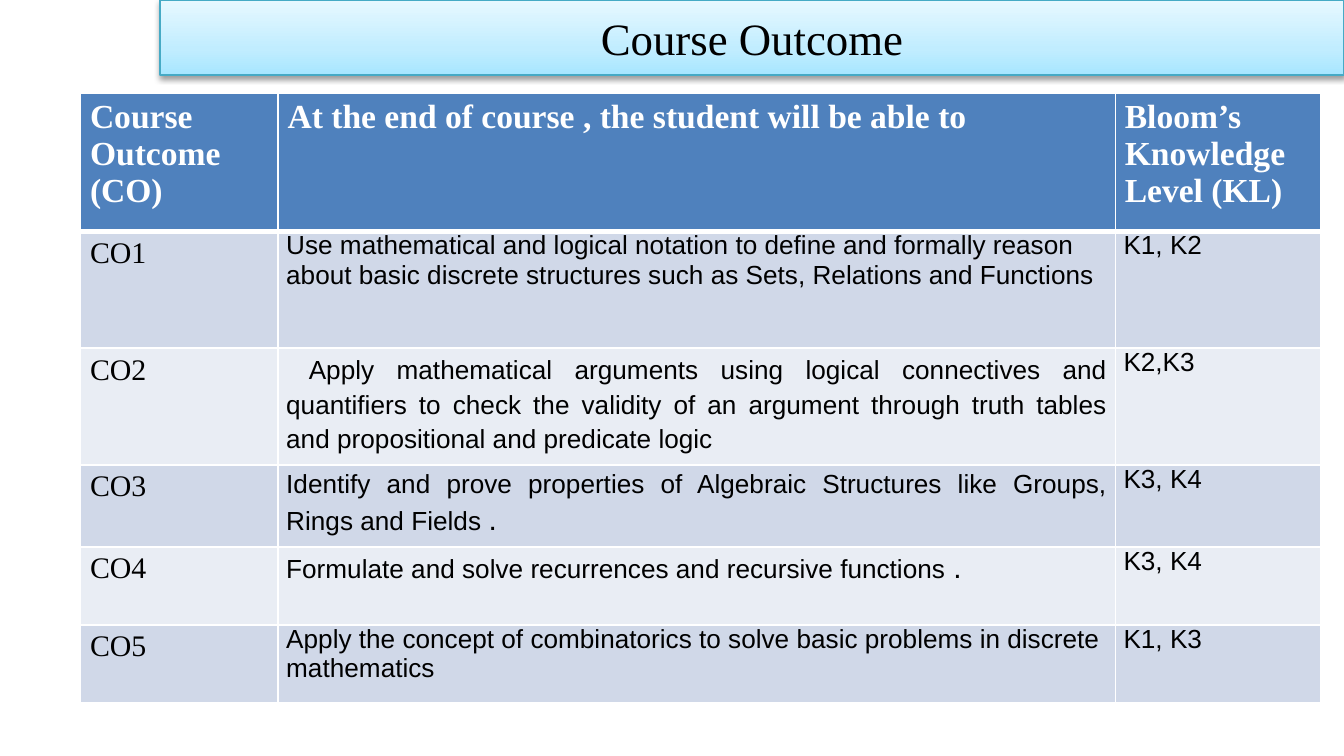
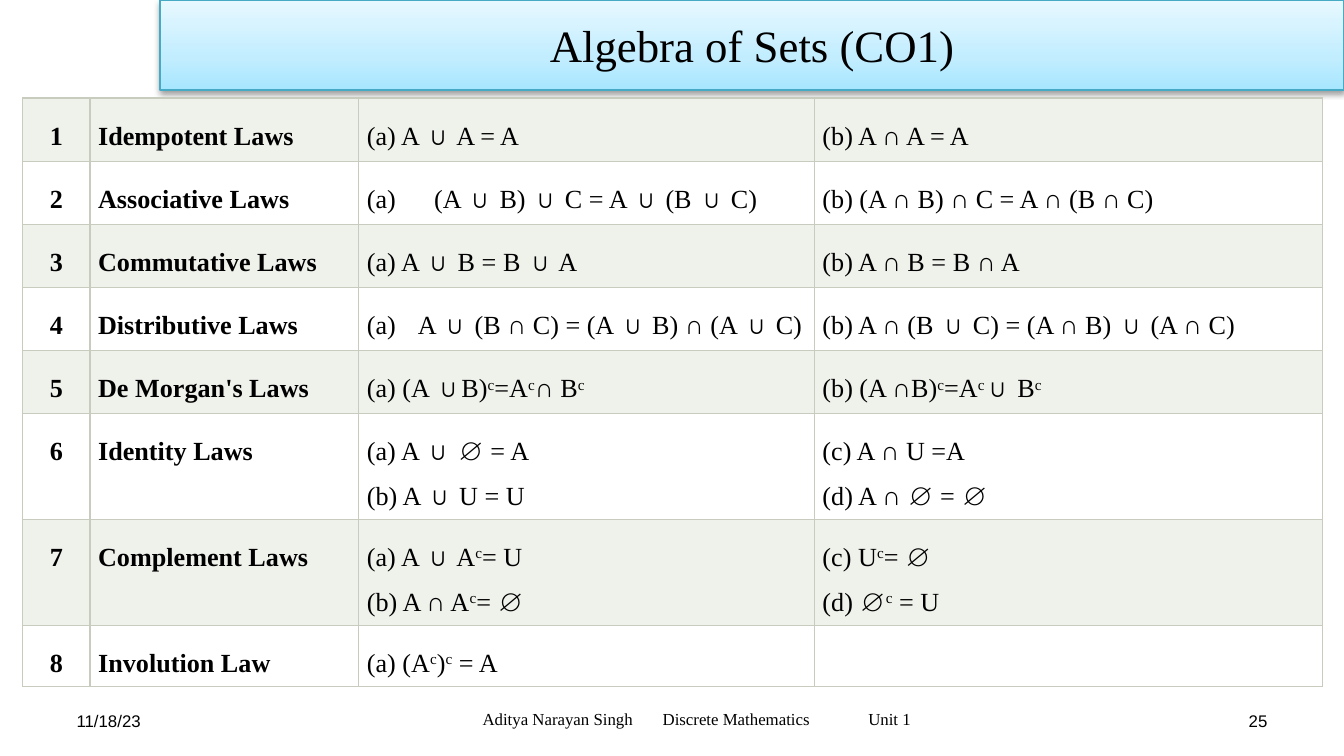
from pptx import Presentation
from pptx.util import Inches, Pt
from pptx.dml.color import RGBColor as RGB
from pptx.enum.text import PP_ALIGN as AL, MSO_ANCHOR as ANC
from pptx.oxml import parse_xml as xml
from pptx.oxml.ns import nsdecls

NS = nsdecls("a")
SERIF, SANS = "Times New Roman", "Arial"
HUE = {
    "ink": "000000", "white": "FFFFFF", "teal": "46AAC5", "red": "FF0000",
    "deep": "A7E6FF", "mid": "C1EDFF", "pale": "E7F8FF",
    "head": "4F81BD", "blue": "D0D8E8", "ice": "E9EDF4",
    "sage": "EFF1EB", "rule": "C7CCBE",
}


def put(par, text, size, font=SERIF, bold=False, hue="ink"):
    """Add text to a paragraph; parts between ^ marks are raised."""
    for row, line in enumerate(text.split("\n")):
        if row:
            par.add_line_break()
        for num, part in enumerate(line.split("^")):
            if not part:
                continue
            run = par.add_run()
            run.text = part
            run.font.size, run.font.name, run.font.bold = Pt(size), font, bold
            run.font.color.rgb = RGB.from_string(HUE[hue])
            if num % 2:
                run.font._element.set("baseline", "30000")


def inset(box, side, top):
    """Set equal side margins and equal top and bottom margins."""
    box.margin_left = box.margin_right = Inches(side)
    box.margin_top = box.margin_bottom = Inches(top)


# A 16:9 page
prs = Presentation()
prs.slide_width, prs.slide_height = Inches(10), Inches(10 * 9 / 16)

# Title, title height, table left and top, columns, rows, fills, border
PAGES = [
    ("Course Outcome", 0.56, 0.6, 0.69, [1.47, 6.23, 1.53],
     [1.03, 0.87, 0.87, 0.61, 0.58, 0.58], ["ice", "blue"], "white", 1),
    ("Algebra of Sets (CO1)", 0.67, 0.17, 0.73, [0.5, 2, 3.39, 3.78],
     [0.47] * 5 + [0.78] * 2 + [0.45], ["sage", "white"], "rule", 0.75),
]

# Title bands and bare tables
grids = []
for name, high, left, top, cols, rows, fills, rule, wide in PAGES:
    slide = prs.slides.add_slide(prs.slide_layouts[5])
    band = slide.shapes.title
    band.left, band.top = Inches(1.19), Inches(0)
    band.width, band.height = Inches(8.81), Inches(high)
    stops = "".join(
        f'<a:gs pos="{pos}000"><a:srgbClr val="{HUE[key]}"/></a:gs>'
        for pos, key in [(0, "deep"), (35, "mid"), (100, "pale")])
    props = band._element.spPr
    props.append(xml(f'<a:prstGeom {NS} prst="rect"><a:avLst/></a:prstGeom>'))
    props.append(xml(f'<a:gradFill {NS} rotWithShape="1"><a:gsLst>{stops}</a:gsLst>'
                     '<a:lin ang="16200000" scaled="1"/></a:gradFill>'))
    band.line.color.rgb = RGB.from_string(HUE["teal"])
    band.line.width = Pt(0.75)
    props.append(xml(
        f'<a:effectLst {NS}><a:outerShdw blurRad="{Pt(3.1)}" dist="{Pt(1.6)}" '
        f'dir="5400000" rotWithShape="0"><a:srgbClr val="{HUE["ink"]}">'
        '<a:alpha val="38000"/></a:srgbClr></a:outerShdw></a:effectLst>'))
    frame = band.text_frame
    frame.vertical_anchor = ANC.MIDDLE
    inset(frame, 0.07, 0.04)
    frame.paragraphs[0].alignment = AL.CENTER
    put(frame.paragraphs[0], name, 24)

    grid = slide.shapes.add_table(
        len(rows), len(cols), Inches(left), Inches(top),
        Inches(sum(cols)), Inches(sum(rows))).table
    grid.first_row = grid.horz_banding = False
    for col, size in zip(grid.columns, cols):
        col.width = Inches(size)
    for num, size in enumerate(rows):
        grid.rows[num].height = Inches(size)
        for cell in grid.rows[num].cells:
            cell.fill.solid()
            cell.fill.fore_color.rgb = RGB.from_string(HUE[fills[num % 2]])
            for spot, side in enumerate("LRTB"):
                # A thick rule parts the blue header from the body
                thick = rule == "white" and (num, side) in [(0, "B"), (1, "T")]
                cell._tc.tcPr.insert(spot, xml(
                    f'<a:ln{side} {NS} w="{Pt(3 if thick else wide)}"><a:solidFill>'
                    f'<a:srgbClr val="{HUE[rule]}"/></a:solidFill></a:ln{side}>'))
    grids.append(grid)

# Course outcomes: header
goals, laws = grids
HEADS = ["Course Outcome (CO)", "At the end of course , the student will be able to",
         "Bloom’s Knowledge Level (KL)"]
for cell, text in zip(goals.rows[0].cells, HEADS):
    cell.fill.fore_color.rgb = RGB.from_string(HUE["head"])
    inset(cell, 0.07, 0.04)
    put(cell.text_frame.paragraphs[0], text, 18, bold=True, hue="white")

# Course outcomes: body
GOALS = [
    ("Use mathematical and logical notation to define and formally reason about "
     "basic discrete structures such as Sets, Relations and Functions", "K1, K2"),
    ("Apply mathematical arguments using logical connectives and quantifiers to "
     "check the validity of an argument through truth tables and propositional "
     "and predicate logic ", "K2,K3"),
    ("Identify and prove properties of Algebraic Structures like Groups, Rings "
     "and Fields .", "K3, K4"),
    ("Formulate and solve recurrences and recursive functions .", "K3, K4"),
    ("Apply the concept of combinatorics to solve basic problems in discrete "
     "mathematics", "K1, K3"),
]
for num, (goal, level) in enumerate(GOALS, 1):
    code, body, rank = goals.rows[num].cells
    inset(code, 0.07, 0.04)
    inset(body, 0.06, 0)
    inset(rank, 0.06, 0)
    put(code.text_frame.paragraphs[0], f"CO{num}", 16)
    put(rank.text_frame.paragraphs[0], level, 14, SANS)
    par = body.text_frame.paragraphs[0]
    if num in (2, 3, 4):
        par.alignment, par.line_spacing = AL.JUSTIFY, 1.15
    if num == 2:
        put(par, " ", 16, hue="red")
    put(par, goal.rstrip("."), 14, SANS)
    if goal.endswith("."):
        put(par, ".", 16, SANS)

# Laws of sets
LAWS = [
    ("Idempotent Laws", "(a) A ∪ A = A", "(b) A ∩ A = A"),
    ("Associative Laws", "(A ∪ B) ∪ C = A ∪ (B ∪ C)",
     "(b) (A ∩ B) ∩ C = A ∩ (B ∩ C)"),
    ("Commutative Laws", "(a) A ∪ B = B ∪ A", "(b) A ∩ B = B ∩ A"),
    ("Distributive Laws", "A ∪ (B ∩ C) = (A ∪ B) ∩ (A ∪ C)",
     "(b) A ∩ (B ∪ C) = (A ∩ B) ∪ (A ∩ C)"),
    ("De Morgan's Laws", "(a) (A ∪B)^c^=A^c^∩ B^c", "(b) (A ∩B)^c^=A^c^∪ B^c"),
    ("Identity Laws", "(a) A ∪ ∅ = A\n(b) A ∪ U = U", "(c) A ∩ U =A\n(d) A ∩ ∅ = ∅"),
    ("Complement Laws", "(a) A ∪ A^c^= U\n(b) A ∩ A^c^= ∅", "(c) U^c^= ∅\n(d) ∅^c^ = U"),
    ("Involution Law", "(a) (A^c^)^c^ = A", ""),
]
HANG = {2: 0.5, 4: 0.38}
for num, law in enumerate(LAWS, 1):
    for col, text in enumerate((str(num), *law)):
        cell = laws.cell(num - 1, col)
        inset(cell, 0.06, 0.06)
        par = cell.text_frame.paragraphs[0]
        par.line_spacing = Pt(24)
        par.alignment = AL.LEFT if col else AL.CENTER
        put(par, text, 14, bold=col < 2)
        if col == 2 and num in HANG:
            props = par._p.get_or_add_pPr()
            props.set("marL", str(Inches(HANG[num])))
            props.set("indent", str(-Inches(HANG[num])))
            props.append(xml(f'<a:buFont {NS} typeface="+mj-lt"/>'))
            props.append(xml(f'<a:buAutoNum {NS} type="alphaLcParenBoth"/>'))

# Footer: date, lecture line and page number
FOOT = [
    ("11/18/23", 0.5, 5.21, 2.33, SANS, AL.LEFT),
    ("Aditya Narayan Singh\tDiscrete Mathematics\tUnit 1", 3.12, 5.2, 4.12, SERIF, AL.LEFT),
    ("25", 7.17, 5.21, 2.33, SANS, AL.RIGHT),
]
for text, left, top, wide, font, side in FOOT:
    box = slide.shapes.add_textbox(Inches(left), Inches(top), Inches(wide), Inches(0.3))
    frame = box.text_frame
    frame.word_wrap = True
    frame.vertical_anchor = ANC.MIDDLE
    inset(frame, 0.07, 0.04)
    par = frame.paragraphs[0]
    par.alignment = side
    put(par, text, 9, font)
    if "\t" in text:
        frame.margin_left = Inches(0.47)
        tabs = "".join(f'<a:tab pos="{Inches(pos)}" algn="l"/>' for pos in (1.34, 2.87))
        par._p.get_or_add_pPr().append(xml(f'<a:tabLst {NS}>{tabs}</a:tabLst>'))

prs.save("out.pptx")
